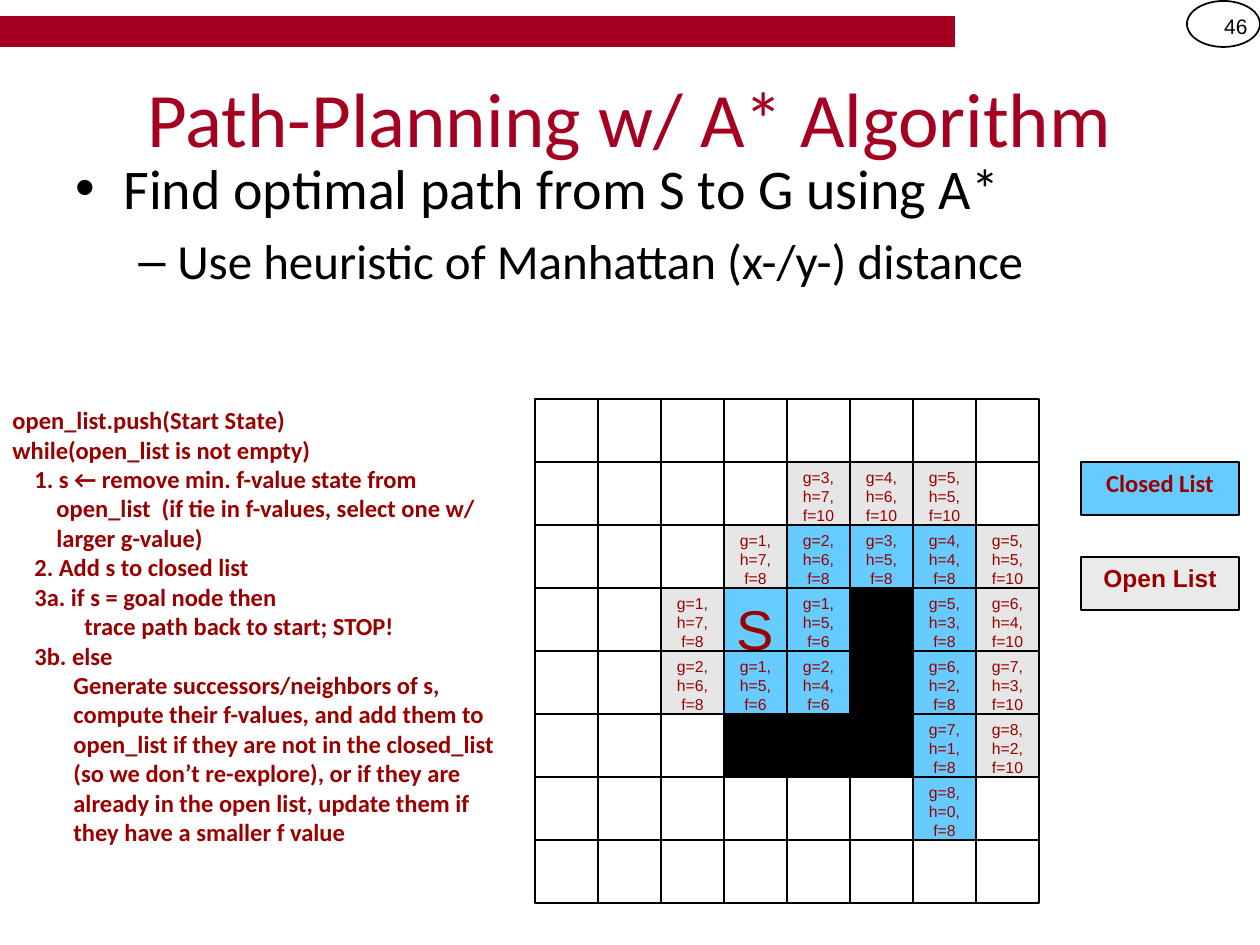
"""Build a slide on path planning with the A* algorithm."""
from lxml import etree
from pptx import Presentation
from pptx.dml.color import RGBColor
from pptx.enum.shapes import MSO_SHAPE
from pptx.enum.text import MSO_ANCHOR, PP_ALIGN
from pptx.oxml.ns import qn
from pptx.util import Emu, Pt

RECTANGLE, OVAL = MSO_SHAPE.RECTANGLE, MSO_SHAPE.OVAL
LEFT, CENTER, RIGHT = PP_ALIGN.LEFT, PP_ALIGN.CENTER, PP_ALIGN.RIGHT
TOP, MIDDLE = MSO_ANCHOR.TOP, MSO_ANCHOR.MIDDLE

CRIMSON = RGBColor(0xA5, 0x00, 0x21)
DARK_RED = RGBColor(0x99, 0x00, 0x00)
BLUE = RGBColor(0x66, 0xCC, 0xFF)
GRAY = RGBColor(0xE6, 0xE6, 0xE6)
LIGHT_GRAY = RGBColor(0xEA, 0xEA, 0xEA)
BLACK = RGBColor(0x00, 0x00, 0x00)
WHITE = RGBColor(0xFF, 0xFF, 0xFF)

EMU_PER_PX = 914400 / 126

TITLE = "Path-Planning w/ A* Algorithm"
SLIDE_NUMBER = "46"
BULLETS = [
    ("Find optimal path from S to G using A*", "•", 32, 48, 48, 0),
    ("Use heuristic of Manhattan (x-/y-) distance", "–", 28, 102, 39, 6),
]
PSEUDOCODE = [
    (0, "open_list.push(Start State)"),
    (0, "while(open_list is not empty)"),
    (22, "1. s ← remove min. f-value state from"),
    (44, "open_list  (if tie in f-values, select one w/"),
    (44, "larger g-value)"),
    (22, "2. Add s to closed list"),
    (22, "3a. if s = goal node then"),
    (72, "trace path back to start; STOP!"),
    (22, "3b. else"),
    (61, "Generate successors/neighbors of s,"),
    (61, "compute their f-values, and add them to"),
    (61, "open_list if they are not in the closed_list"),
    (61, "(so we don’t re-explore), or if they are"),
    (61, "already in the open list, update them if"),
    (61, "they have a smaller f value"),
]
GRID = [
    ".  .  .  .  .  .  .  .",
    ".  .  .  .  o3 o4 o5 .",
    ".  .  .  o1 c2 c3 c4 o5",
    ".  .  o1 S  c1 #  c5 o6",
    ".  .  o2 c1 c2 #  c6 o7",
    ".  .  .  #  #  #  c7 o8",
    ".  .  .  .  .  .  c8 .",
    ".  .  .  .  .  .  .  .",
]
CELL_FILLS = {".": WHITE, "#": BLACK, "o": GRAY, "c": BLUE, "S": BLUE}
GOAL_ROW, GOAL_COLUMN = 6, 6
GRID_LEFT, GRID_TOP, CELL = 535, 399, 63
LEGEND = [("Closed List", "Calibri", BLUE, 462), ("Open List", "Arial", LIGHT_GRAY, 557)]


def px(length):
    return Emu(round(length * EMU_PER_PX))


def box(*lengths):
    return [px(length) for length in lengths]


def style(paragraph, font_name, size, color, align=LEFT, bold=False):
    paragraph.alignment = align
    font = paragraph.font
    font.name, font.size, font.bold = font_name, Pt(size), bold
    font.color.rgb = color


def indent(paragraph, margin, hanging=0, bullet=None):
    properties = paragraph._p.get_or_add_pPr()
    properties.set("marL", str(px(margin)))
    properties.set("indent", str(px(-hanging)))
    if bullet:
        etree.SubElement(properties, qn("a:buFont"), typeface="Arial")
        etree.SubElement(properties, qn("a:buChar"), char=bullet)


def add_shape(slide, kind, bounds, fill=None, line_width=0.75):
    shape = slide.shapes.add_shape(kind, *box(*bounds))
    shape.shadow.inherit = False
    if fill is None:
        shape.fill.background()
    else:
        shape.fill.solid()
        shape.fill.fore_color.rgb = fill
    if line_width:
        shape.line.color.rgb = BLACK
        shape.line.width = Pt(line_width)
    else:
        shape.line.fill.background()
    return shape


def write(shape, text, font_name, size, color, align, anchor=TOP, bold=False, wrap=True):
    frame = shape.text_frame
    frame.word_wrap = wrap
    frame.vertical_anchor = anchor
    frame.paragraphs[0].text = text
    style(frame.paragraphs[0], font_name, size, color, align, bold)


def add_paragraphs(slide, bounds, count):
    frame = slide.shapes.add_textbox(*box(*bounds)).text_frame
    frame.word_wrap = True
    for _ in range(count - 1):
        frame.add_paragraph()
    return frame.paragraphs


def add_header(slide):
    add_shape(slide, RECTANGLE, (0, 16, 955, 31), CRIMSON, 0)
    add_shape(slide, OVAL, (1187, 1, 73, 46), line_width=1)
    number = slide.shapes.add_textbox(*box(1187, 1, 73, 50))
    write(number, SLIDE_NUMBER, "Arial", 12, BLACK, RIGHT, MIDDLE)
    title = slide.shapes.title
    title.left, title.top, title.width, title.height = box(63, 38, 1134, 157)
    write(title, TITLE, "Calibri", 44, CRIMSON, CENTER, MIDDLE)


def add_bullets(slide):
    paragraphs = add_paragraphs(slide, (63, 147, 1134, 147), len(BULLETS))
    for paragraph, (text, bullet, size, margin, hanging, space) in zip(paragraphs, BULLETS):
        paragraph.text = text
        paragraph.space_before = Pt(space)
        indent(paragraph, margin, hanging, bullet)
        style(paragraph, "Calibri", size, BLACK)


def add_grid(slide):
    for row, line in enumerate(GRID):
        for column, code in enumerate(line.split()):
            bounds = (GRID_LEFT + column * CELL, GRID_TOP + row * CELL, CELL, CELL)
            cell = add_shape(slide, RECTANGLE, bounds, CELL_FILLS[code[0]])
            if code == "S":
                write(cell, code, "Arial", 32, DARK_RED, CENTER, wrap=False)
            elif code[0] in "oc":
                g = int(code[1:])
                h = abs(row - GOAL_ROW) + abs(column - GOAL_COLUMN)
                text = f"g={g},\vh={h},\vf={g + h}"
                write(cell, text, "Arial", 9, DARK_RED, CENTER, wrap=False)


def add_legend(slide):
    for text, font_name, fill, top in LEGEND:
        key = add_shape(slide, RECTANGLE, (1081, top, 158, 53), fill)
        write(key, text, font_name, 14, DARK_RED, CENTER, bold=True)


def add_pseudocode(slide):
    paragraphs = add_paragraphs(slide, (0, 399, 546, 284), len(PSEUDOCODE))
    for paragraph, (margin, text) in zip(paragraphs, PSEUDOCODE):
        paragraph.text = text
        indent(paragraph, margin)
        style(paragraph, "Calibri", 14, DARK_RED, bold=True)


def main():
    presentation = Presentation()
    presentation.slide_width, presentation.slide_height = box(1260, 945)
    slide = presentation.slides.add_slide(presentation.slide_layouts[5])
    add_header(slide)
    add_bullets(slide)
    add_grid(slide)
    add_legend(slide)
    add_pseudocode(slide)
    presentation.save("out.pptx")


if __name__ == "__main__":
    main()
